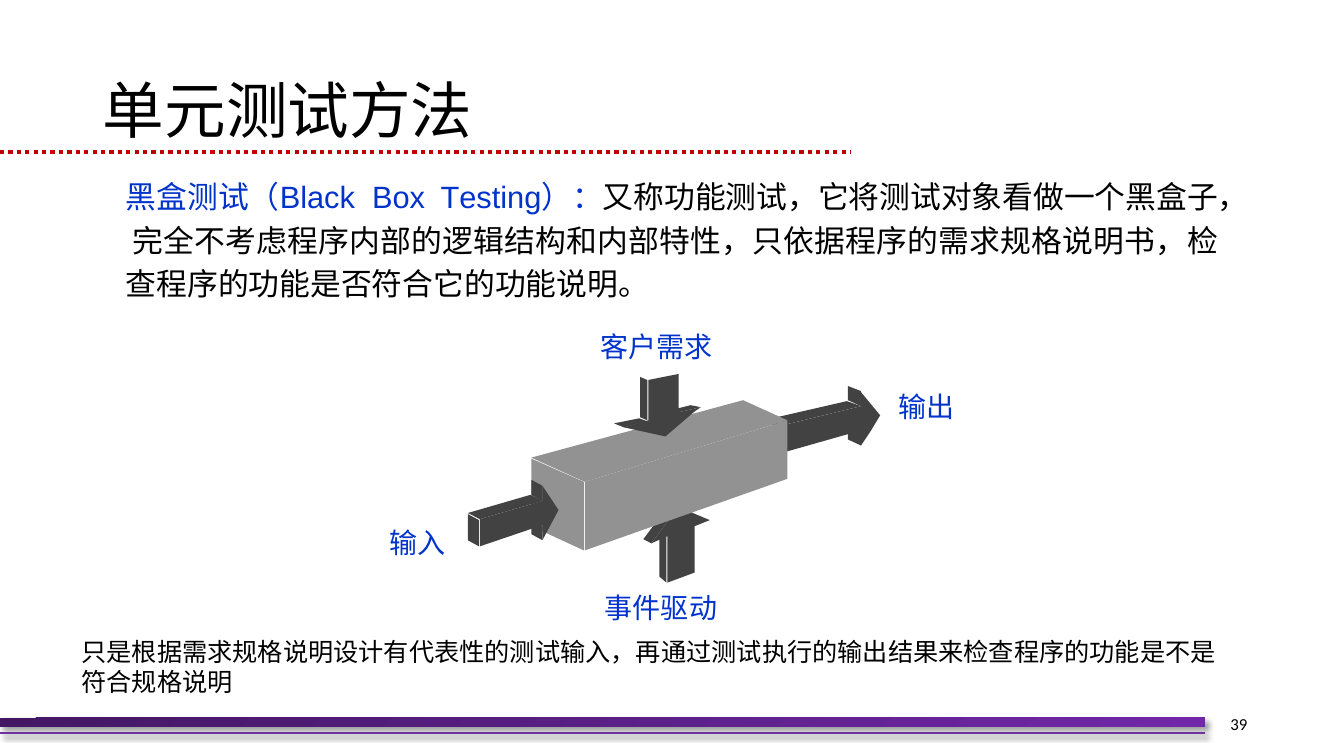
from pptx import Presentation
from pptx.dml.color import RGBColor
from pptx.enum.dml import MSO_LINE
from pptx.enum.shapes import MSO_CONNECTOR, MSO_SHAPE
from pptx.enum.text import MSO_ANCHOR, PP_ALIGN
from pptx.oxml import parse_xml
from pptx.oxml.ns import nsdecls, qn
from pptx.util import Inches, Pt

theme = {
    "black": "000000", "blue": "0033CC", "red": "C00000", "purple": "7030A0",
    "bar_start": "431764", "bar_end": "7128A8", "arrow": "424242", "box": "929292",
    "cjk": "Noto Sans CJK SC", "latin": "Arial", "number": "Calibri",
    "title_pt": 44, "body_pt": 22, "label_pt": 20, "note_pt": 18, "number_pt": 12,
}
CELL = Inches(0.01)  # the grid: a hundredth of an inch

deck = Presentation()
deck.slide_width, deck.slide_height = 1333 * CELL, 750 * CELL
slide = deck.slides.add_slide(deck.slide_layouts[5])
shapes = slide.shapes


def add_run(paragraph, text, size, color, face, spacing=0):
    run = paragraph.add_run()
    run.text = text
    run.font.size, run.font.name = Pt(size), face
    run.font.color.rgb = RGBColor.from_string(color)
    properties = run.font._element
    properties.append(parse_xml(f'<a:ea {nsdecls("a")} typeface="{theme["cjk"]}"/>'))
    if spacing:
        properties.set("spc", str(round(spacing * 100)))


def add_text(place, align=PP_ALIGN.LEFT, anchor=MSO_ANCHOR.TOP, inset=0):
    frame = shapes.add_textbox(*(CELL * n for n in place)).text_frame
    settings = {"word_wrap": True, "vertical_anchor": anchor,
                "margin_left": 2 * inset, "margin_right": 2 * inset,
                "margin_top": inset, "margin_bottom": inset}
    for name, value in settings.items():
        setattr(frame, name, value)
    frame.paragraphs[0].alignment = align
    return frame.paragraphs[0]


# Footer bar and rules
footer_bar = shapes.add_shape(MSO_SHAPE.RECTANGLE, 0, 712 * CELL, 1195 * CELL, 9 * CELL)
footer_bar.shadow.inherit = False
footer_bar.line.fill.background()
footer_bar.fill.gradient()
footer_bar.fill.gradient_angle = 315
for stop, tone in zip(footer_bar.fill.gradient_stops, ("bar_start", "bar_end")):
    stop.color.rgb = RGBColor.from_string(theme[tone])

rules = []
for top, right, tone, weight in ((727, 1195, "purple", 1.5), (151, 844, "red", 3)):
    rule = shapes.add_connector(MSO_CONNECTOR.STRAIGHT, 0, top * CELL, right * CELL, top * CELL)
    rule.line.color.rgb = RGBColor.from_string(theme[tone])
    rule.line.width = Pt(weight)
    rules.append(rule)
footer_rule, title_rule = rules
title_rule.line.dash_style = MSO_LINE.ROUND_DOT
for rule in rules:
    rule._element.spPr.append(parse_xml(f'<a:effectLst {nsdecls("a")}/>'))

for footer_part in (footer_bar, footer_rule):
    effects = footer_part._element.spPr.find(qn("a:effectLst"))
    effects.append(parse_xml(
        f'<a:outerShdw {nsdecls("a")} blurRad="{Pt(4)}" dist="{Pt(3)}" dir="2700000" '
        f'algn="tl" rotWithShape="0"><a:srgbClr val="{theme["black"]}">'
        '<a:alpha val="40000"/></a:srgbClr></a:outerShdw>'))

# Title
title = shapes.title
title.left, title.top, title.width, title.height = (CELL * n for n in (92, 40, 1150, 145))
title.text_frame.vertical_anchor = MSO_ANCHOR.MIDDLE
heading = title.text_frame.paragraphs[0]
heading.alignment, heading.line_spacing = PP_ALIGN.LEFT, 0.9
add_run(heading, "单元测试方法", theme["title_pt"], theme["black"], theme["cjk"])

# Black box and its arrows, back to front; each face is a list of outlines in grid cells
event_arrow = [
    [[(654, 529), (654, 572), (661, 578), (661, 533)]],
    [[(689, 532), (662, 532), (662, 578), (689, 568)],
     [(673, 503), (646, 539), (662, 532), (689, 532), (689, 522), (704, 516)]],
    [[(665, 499), (638, 535), (646, 539), (673, 503)]],
]
output_arrow = [
    [[(841, 422), (841, 436), (854, 442), (854, 427)]],
    [[(854, 389), (854, 403), (780, 421), (780, 448), (854, 427), (864, 427), (873, 412)],
     [(864, 427), (854, 427), (854, 442)]],
    [[(766, 416), (766, 442), (779, 448), (779, 421)]],
    [[(840, 398), (766, 415), (780, 421), (854, 403)]],
    [[(841, 383), (841, 397), (854, 403), (854, 388)]],
]
black_box = [
    [[(527, 455), (527, 522), (579, 546), (579, 478)]],
    [[(737, 397), (527, 454), (580, 478), (781, 417)]],
    [[(781, 417), (580, 478), (580, 546), (781, 475)]],
]
demand_arrow = [
    [[(685, 402), (665, 407), (673, 409), (695, 404)]],
    [[(673, 371), (643, 377), (643, 417), (619, 424), (660, 433), (688, 409), (673, 409)],
     [(695, 404), (673, 409), (688, 409)]],
    [[(634, 415), (609, 420), (619, 424), (642, 418)]],
    [[(635, 374), (635, 414), (642, 417), (642, 377)]],
]
input_arrow = [
    [[(527, 516), (527, 530), (538, 536), (538, 522)]],
    [[(538, 482), (538, 497), (476, 515), (476, 542), (538, 521), (546, 521), (554, 506)],
     [(546, 521), (538, 521), (538, 536)]],
    [[(464, 510), (464, 536), (475, 542), (475, 516)]],
    [[(526, 491), (464, 509), (476, 515), (538, 497)]],
    [[(527, 476), (527, 491), (538, 497), (538, 482)]],
]
for solid, tone in ((event_arrow, "arrow"), (output_arrow, "arrow"), (black_box, "box"),
                    (demand_arrow, "arrow"), (input_arrow, "arrow")):
    for outlines in solid:
        pen = shapes.build_freeform(*outlines[0][0], scale=CELL)
        for number, outline in enumerate(outlines):
            if number:
                pen.move_to(*outline[0])
            pen.add_line_segments(outline[1:], close=True)
        face = pen.convert_to_shape()
        face.shadow.inherit = False
        face.line.fill.background()
        face.fill.solid()
        face.fill.fore_color.rgb = RGBColor.from_string(theme[tone])

# Definition
definition = add_text((125, 169, 1113, 140), inset=0)
definition.line_spacing = 1.19
tab_stops = "".join(f'<a:tab pos="{n * CELL}" algn="l"/>' for n in (244, 312))
definition._p.get_or_add_pPr().append(
    parse_xml(f'<a:tabLst {nsdecls("a")}>{tab_stops}</a:tabLst>'))
for words, tone, face_name, spacing in (
    ("黑盒测试（", "blue", "cjk", 0),
    ("Black\tBox\t", "blue", "latin", 0),
    ("T", "blue", "latin", -2.5),
    ("esting", "blue", "latin", 0),
    ("）：", "blue", "cjk", 0),
    ("又称功能测试，它将测试对象看做一个黑盒子， ", "black", "cjk", 0),
    ("完全不考虑程序内部的逻辑结构和内部特性，只依据程序的需求规格说明书，", "black", "cjk", 0.2),
    ("检 查程序的功能是否符合它的功能说明。", "black", "cjk", 0),
):
    add_run(definition, words, theme["body_pt"], theme[tone], theme[face_name], spacing)

# Labels around the box
for words, left, middle in (("客户需求", 596, 344), ("输出", 891, 403),
                            ("输入", 386, 538), ("事件驱动", 600, 602)):
    label = add_text((left, middle - 20, 30 * len(words), 40), anchor=MSO_ANCHOR.MIDDLE)
    add_run(label, words, theme["label_pt"], theme["blue"], theme["cjk"])

# Closing note and slide number
note = add_text((71, 626, 1167, 71), inset=5 * CELL)
add_run(note, "只是根据需求规格说明设计有代表性的测试输入，再通过测试执行的输出结果来检查程序的功能是不是符合规格说明",
        theme["note_pt"], theme["black"], theme["cjk"])
page_number = add_text((1138, 698, 109, 40), PP_ALIGN.RIGHT, MSO_ANCHOR.MIDDLE, 5 * CELL)
add_run(page_number, "39", theme["number_pt"], theme["black"], theme["number"])

deck.save("out.pptx")
